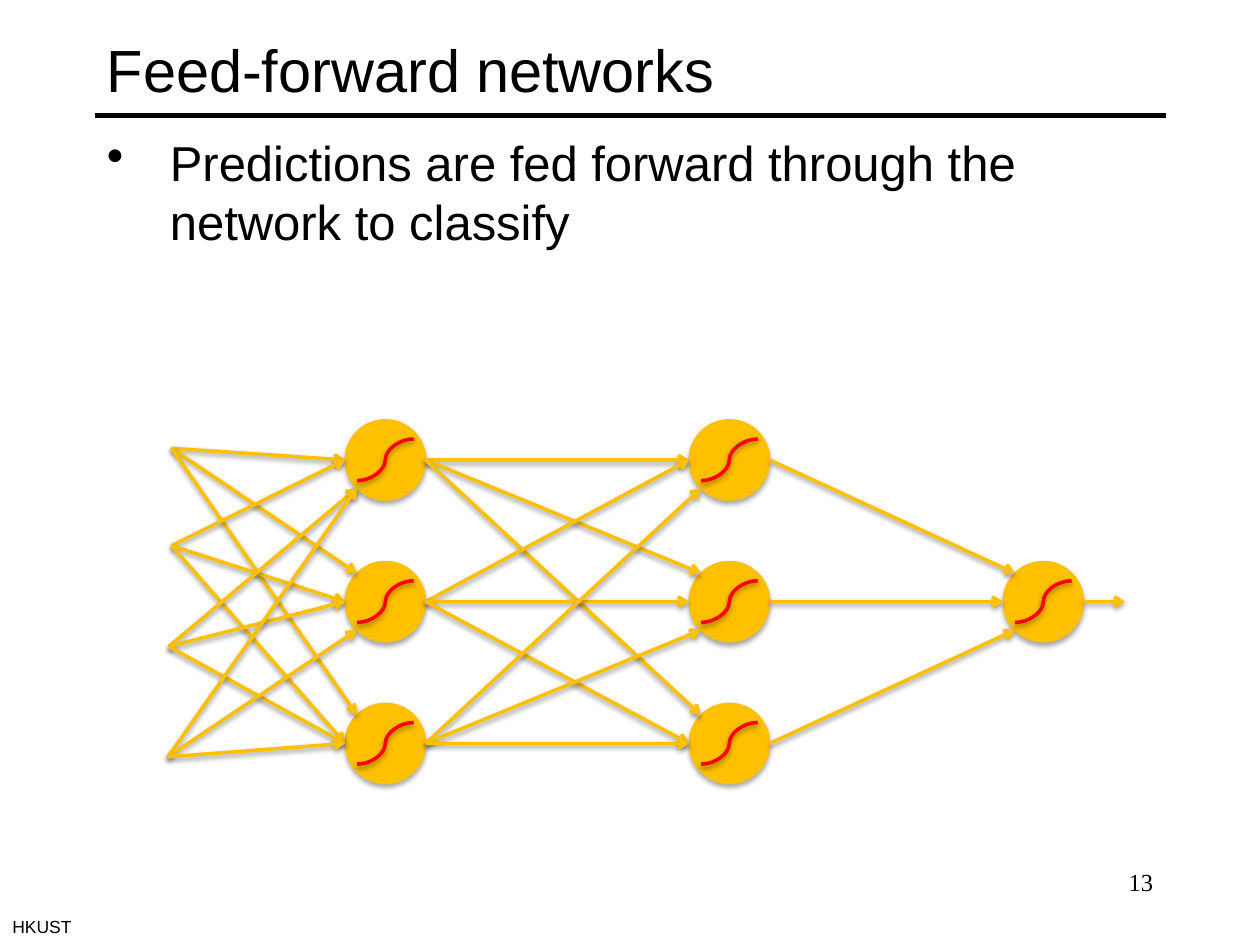
from lxml import etree
from pptx import Presentation
from pptx.dml.color import RGBColor
from pptx.enum.shapes import MSO_CONNECTOR, MSO_SHAPE
from pptx.enum.text import MSO_ANCHOR, PP_ALIGN
from pptx.oxml import parse_xml
from pptx.oxml.ns import nsdecls, qn
from pptx.util import Pt

STRAIGHT, CURVE = MSO_CONNECTOR.STRAIGHT, MSO_CONNECTOR.CURVE
OVAL = MSO_SHAPE.OVAL
TOP, MIDDLE = MSO_ANCHOR.TOP, MSO_ANCHOR.MIDDLE
LEFT, RIGHT = PP_ALIGN.LEFT, PP_ALIGN.RIGHT

COLORS = {"black": "000000", "gold": "FFC000", "red": "FF0000"}

TITLE = "Feed-forward networks"
BODY = "Predictions are fed forward through the network to classify"
PAGE = "13"
FOOTER = "HKUST"

ROWS = [262.8, 343.8, 424.8]
LAYERS = [(220.2, ROWS), (416.8, ROWS), (596.2, ROWS[1:2])]
INPUTS = [(98, 256.2), (98, 311.8), (96.5, 369.4), (96, 432.5)]
PORTS = [
    [("left", "upper", "upper"), ("left", "left", "left"),
     ("lower", "left", "left"), ("lower", "lower", "left")],
    [("left", "upper", "upper"), ("left", "left", "left"), ("lower", "lower", "left")],
    [("upper",), ("left",), ("lower",)],
]
RADIUS = 23
DIAGONAL = RADIUS * 0.5 ** 0.5
OFFSETS = {"left": (-RADIUS, 0), "upper": (-DIAGONAL, -DIAGONAL), "lower": (-DIAGONAL, DIAGONAL)}
SIGMOID_W, SIGMOID_H = 32.4, 23.8
OUTPUT_LENGTH = 23.8


def rgb(name):
    return RGBColor.from_string(COLORS[name])


def add_text(s, text, x, y, w, h, size, font="Arial", align=LEFT, anchor=TOP,
             wrap=True, bullet=False):
    tf = s.shapes.add_textbox(Pt(x), Pt(y), Pt(w), Pt(h)).text_frame
    tf.word_wrap = wrap
    tf.vertical_anchor = anchor
    p = tf.paragraphs[0]
    p.alignment = align
    if bullet:
        pPr = p._p.get_or_add_pPr()
        pPr.set("marL", str(Pt(36)))
        pPr.set("indent", str(-Pt(36)))
        etree.SubElement(pPr, qn("a:buChar")).set("char", "•")
    r = p.add_run()
    r.text = text
    r.font.name, r.font.size = font, Pt(size)
    r.font.color.rgb = rgb("black")


def add_shadow(sp, distance, opacity):
    sp._element.spPr.append(parse_xml(
        f'<a:effectLst {nsdecls("a")}><a:outerShdw blurRad="{Pt(3.1)}" '
        f'dist="{Pt(distance)}" dir="5400000" rotWithShape="0"><a:srgbClr val="000000">'
        f'<a:alpha val="{opacity * 1000}"/></a:srgbClr></a:outerShdw></a:effectLst>'))


def add_line(s, start, end, color="gold", width=2, kind=STRAIGHT, arrow=False, shadow=True):
    sp = s.shapes.add_connector(kind, *(Pt(v) for v in (*start, *end)))
    sp.line.color.rgb = rgb(color)
    sp.line.width = Pt(width)
    if arrow:
        etree.SubElement(sp.line._get_or_add_ln(), qn("a:tailEnd")).set("type", "arrow")
    if shadow:
        add_shadow(sp, 1.6, 38)
    else:
        etree.SubElement(sp._element.spPr, qn("a:effectLst"))


def add_neuron(s, x, y):
    sp = s.shapes.add_shape(OVAL, Pt(x - RADIUS), Pt(y - RADIUS), Pt(2 * RADIUS), Pt(2 * RADIUS))
    sp.fill.solid()
    sp.fill.fore_color.rgb = rgb("gold")
    sp.line.color.rgb = rgb("gold")
    sp.line.width = Pt(0.75)
    add_shadow(sp, 1.8, 35)
    dx, dy = SIGMOID_W / 2, SIGMOID_H / 2
    add_line(s, (x - dx, y + dy), (x + dx, y - dy), color="red", kind=CURVE)


def add_network(s):
    for x, rows in LAYERS:
        for y in rows:
            add_neuron(s, x, y)
    sources = INPUTS
    for (x, rows), ports in zip(LAYERS, PORTS):
        for start, names in zip(sources, ports):
            for y, name in zip(rows, names):
                dx, dy = OFFSETS[name]
                add_line(s, start, (x + dx, y + dy), arrow=True)
        sources = [(x + RADIUS, y) for y in rows]
    x, y = sources[0]
    add_line(s, (x, y), (x + OUTPUT_LENGTH, y), arrow=True)


def main():
    prs = Presentation()
    prs.slide_width, prs.slide_height = Pt(720), Pt(540)
    s = prs.slides.add_slide(prs.slide_layouts[6])
    add_line(s, (54, 66), (666, 66), color="black", width=3, shadow=False)
    add_text(s, TITLE, 54, 6, 612, 66, 34, anchor=MIDDLE)
    add_text(s, PAGE, 516, 492, 150, 36, 14, font="Times New Roman", align=RIGHT)
    add_network(s)
    add_text(s, BODY, 54, 72, 612, 414, 28, bullet=True)
    add_text(s, FOOTER, 0, 520, 49, 19.4, 10, wrap=False)
    prs.save("out.pptx")


if __name__ == "__main__":
    main()
